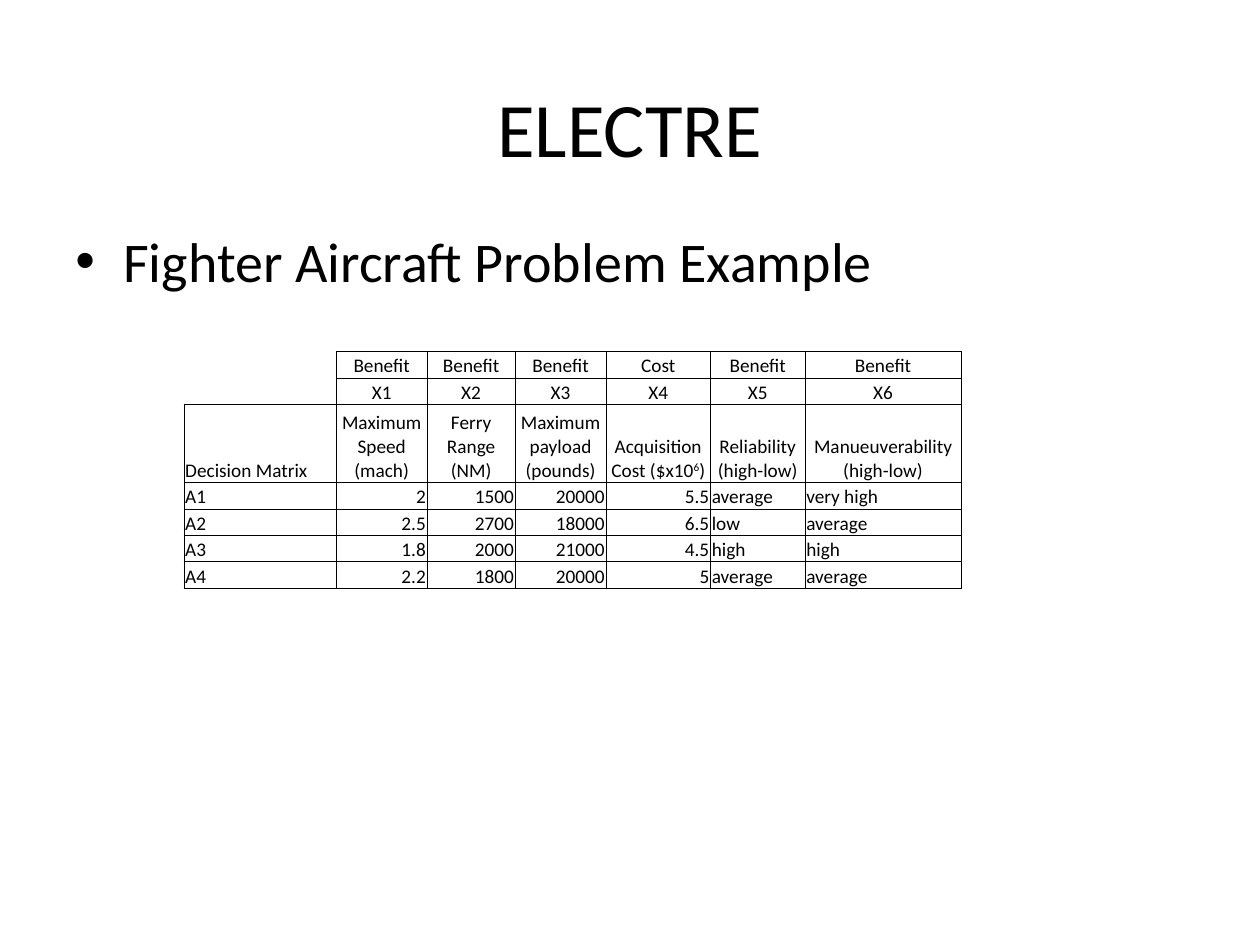
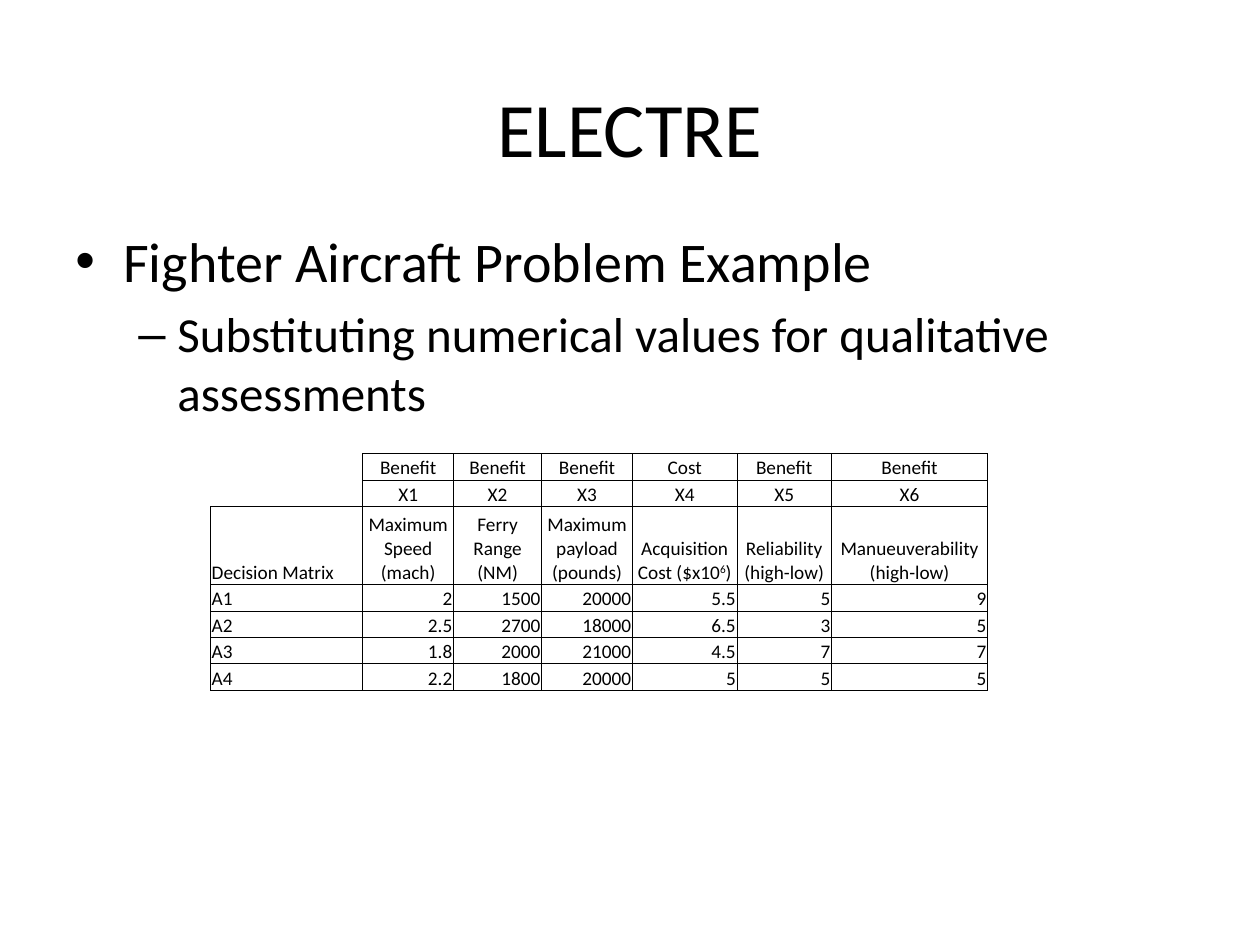
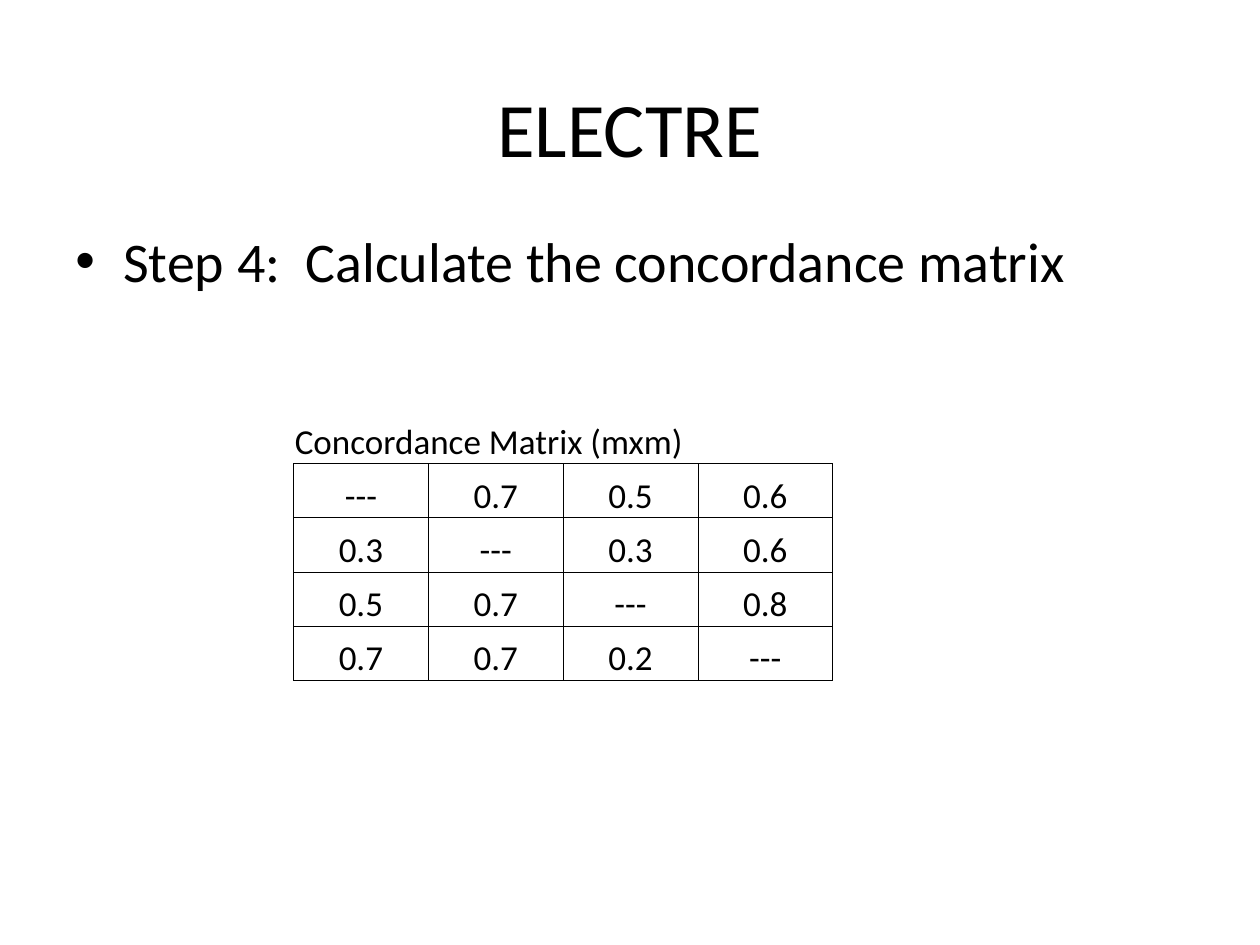
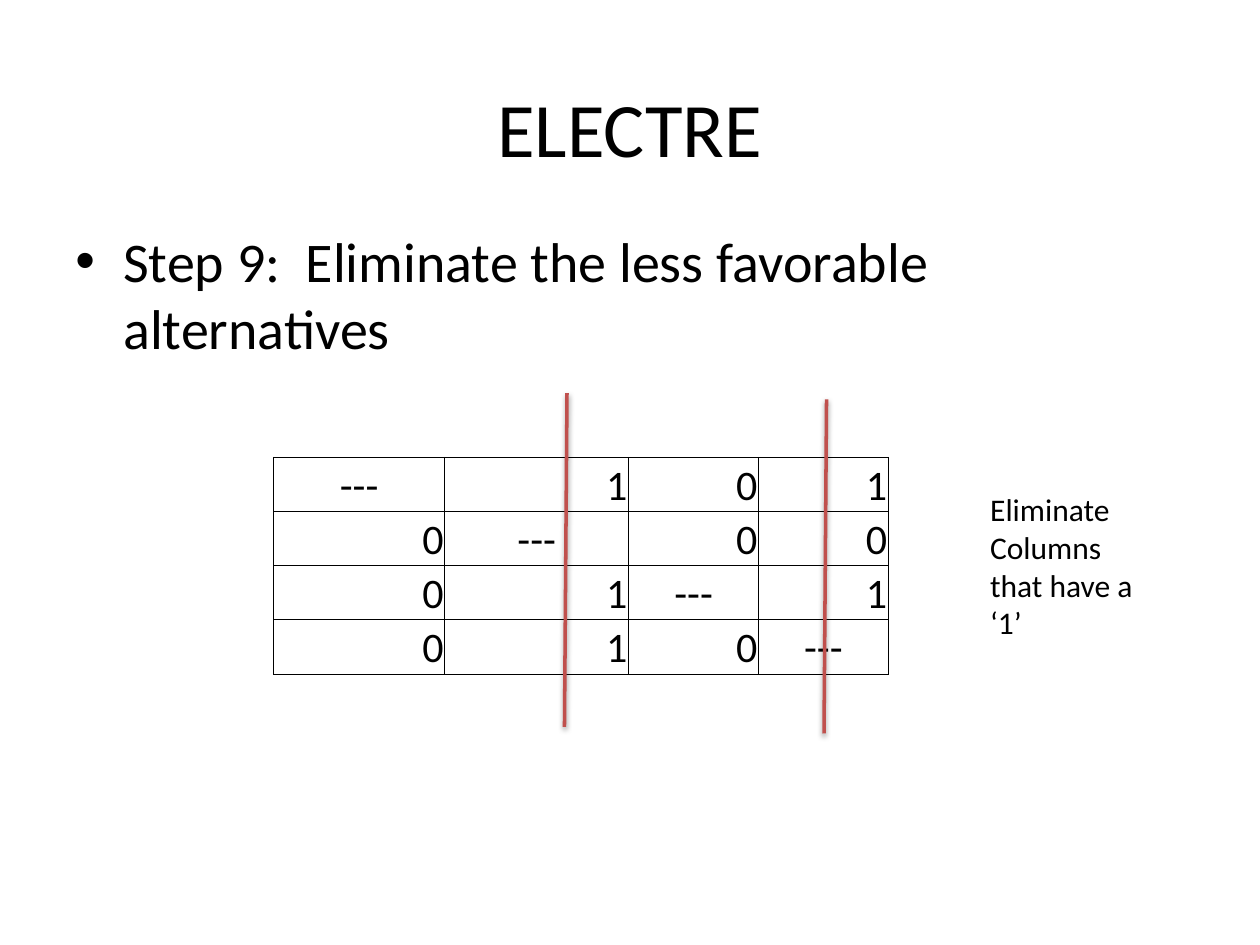
import pptx
import pptx.dml.color
import pptx.enum.shapes
import pptx.enum.text
import pptx.oxml
import pptx.oxml.ns
import pptx.util
from lxml import etree
from pptx.util import Inches, Pt

FONT = "Calibri"
BLACK = "000000"
RED = "C0504D"
ALIGN = {
    "l": pptx.enum.text.PP_ALIGN.LEFT,
    "c": pptx.enum.text.PP_ALIGN.CENTER,
    "r": pptx.enum.text.PP_ALIGN.RIGHT,
}
# Bullet, size, left indent and hanging indent of each outline level
LEVELS = [("•", 32, 0.38, 0.38), ("–", 28, 0.81, 0.31)]

CRITERIA = [
    ["", "Benefit", "Benefit", "Benefit", "Cost", "Benefit", "Benefit"],
    ["", "X1", "X2", "X3", "X4", "X5", "X6"],
    ["Decision Matrix", "Maximum Speed (mach)", "Ferry Range (NM)",
     "Maximum payload (pounds)", "Acquisition Cost ($x10^6^)",
     "Reliability (high-low)", "Manueuverability (high-low)"],
]
AIRCRAFT = [
    ["A1", "2", "1500", "20000", "5.5"],
    ["A2", "2.5", "2700", "18000", "6.5"],
    ["A3", "1.8", "2000", "21000", "4.5"],
    ["A4", "2.2", "1800", "20000", "5"],
]
QUALITATIVE = [["average", "very high"], ["low", "average"],
               ["high", "high"], ["average", "average"]]
SCORES = [["5", "9"], ["3", "5"], ["7", "7"], ["5", "5"]]
DECISION_COLUMNS = [1.21, 0.72, 0.7, 0.72, 0.83, 0.75, 1.24]
DECISION_ROWS = [0.21, 0.21, 0.62] + [0.21] * 4
CORNER = {(0, 0), (1, 0)}

# Each slide: outline, then its table. "open" lists the cells without a frame.
SLIDES = [
    {"outline": ["Fighter Aircraft Problem Example"],
     "at": (1.46, 2.79), "columns": DECISION_COLUMNS, "rows": DECISION_ROWS,
     "size": 11, "open": CORNER,
     "cells": CRITERIA + [a + q for a, q in zip(AIRCRAFT, QUALITATIVE)],
     "aligns": ["lcccccc"] * 3 + ["lrrrrll"] * 4},
    {"outline": ["Fighter Aircraft Problem Example",
                 "Substituting numerical values for qualitative assessments"],
     "at": (1.67, 3.6), "columns": DECISION_COLUMNS, "rows": DECISION_ROWS,
     "size": 11, "open": CORNER,
     "cells": CRITERIA + [a + s for a, s in zip(AIRCRAFT, SCORES)],
     "aligns": ["lcccccc"] * 3 + ["lrrrrrr"] * 4},
    {"outline": ["Step 4:  Calculate the concordance matrix"],
     "at": (2.33, 2.6), "columns": [1.07] * 4, "rows": [1.08] + [0.43] * 4,
     "size": 20, "open": {(0, column) for column in range(4)},
     "cells": [["Concordance Matrix (mxm)", "", "", ""],
               ["---", "0.7", "0.5", "0.6"],
               ["0.3", "---", "0.3", "0.6"],
               ["0.5", "0.7", "---", "0.8"],
               ["0.7", "0.7", "0.2", "---"]],
     "aligns": ["llll"] + ["cccc"] * 4},
    {"outline": ["Step 9:  Eliminate the less favorable alternatives"],
     "at": (2.17, 3.63), "columns": [1.36, 1.46, 1.03, 1.03], "rows": [0.43] * 4,
     "size": 24, "open": set(),
     "cells": [["---", "1", "0", "1"],
               ["0", "---", "0", "0"],
               ["0", "1", "---", "1"],
               ["0", "1", "0", "---"]],
     "aligns": ["crrr", "rcrr", "rrcr", "rrrc"]},
]


def color(hex_code):
    return pptx.dml.color.RGBColor.from_string(hex_code)


def add_xml(parent, text):
    """Append an element written in the drawing namespace (prefix a)."""
    head, mark, rest = text.partition(">")
    slash = "/" if head.endswith("/") else ""
    head = head.rstrip("/") + " " + pptx.oxml.ns.nsdecls("a") + slash
    parent.append(pptx.oxml.parse_xml(head + mark + rest))


deck = pptx.Presentation()
deck.slide_width, deck.slide_height = Inches(10), Inches(7.5)

for content in SLIDES:
    page = deck.slides.add_slide(deck.slide_layouts[5])

    title = page.shapes.title
    title.left, title.top = Inches(0.5), Inches(0.38)
    title.width, title.height = Inches(9), Inches(1.25)
    title.text_frame.text = "ELECTRE"
    title.text_frame.vertical_anchor = pptx.enum.text.MSO_ANCHOR.MIDDLE
    para = title.text_frame.paragraphs[0]
    para.alignment = ALIGN["c"]
    para.font.name, para.font.size = FONT, Pt(44)
    para.font.color.rgb = color(BLACK)

    box = page.shapes.add_textbox(Inches(0.5), Inches(1.75), Inches(9), Inches(4.95))
    box.text_frame.word_wrap = True
    box.text_frame.text = "\n".join(content["outline"])
    for level, para in enumerate(box.text_frame.paragraphs):
        bullet, size, indent, hanging = LEVELS[level]
        para.level = level
        if level:
            para.space_before = Pt(size * 0.2)
        properties = para._p.get_or_add_pPr()
        properties.set("marL", str(Inches(indent)))
        properties.set("indent", str(-Inches(hanging)))
        add_xml(properties, '<a:buFont typeface="Arial"/>')
        add_xml(properties, f'<a:buChar char="{bullet}"/>')
        para.font.name, para.font.size = FONT, Pt(size)
        para.font.color.rgb = color(BLACK)

    columns, rows, unframed = content["columns"], content["rows"], content["open"]
    left, top = content["at"]
    table = page.shapes.add_table(
        len(rows), len(columns), Inches(left), Inches(top),
        Inches(sum(columns)), Inches(sum(rows))).table
    table.first_row = table.horz_banding = False
    for column, width in zip(table.columns, columns):
        column.width = Inches(width)
    for row, height in zip(table.rows, rows):
        row.height = Inches(height)
    framed = {(r, c) for r in range(len(rows)) for c in range(len(columns))} - unframed

    for r, texts in enumerate(content["cells"]):
        for c, text in enumerate(texts):
            cell = table.cell(r, c)
            cell.margin_left = cell.margin_right = cell.margin_top = Inches(0.01)
            cell.margin_bottom = 0
            cell.vertical_anchor = pptx.enum.text.MSO_ANCHOR.BOTTOM

            para = cell.text_frame.paragraphs[0]
            para.alignment = ALIGN[content["aligns"][r][c]]
            para.font.name, para.font.size = FONT, Pt(content["size"])
            para.font.color.rgb = color(BLACK)
            if text:
                # Carets enclose a superscript
                for index, piece in enumerate(text.split("^")):
                    span = para.add_run()
                    span.text = piece
                    if index % 2:
                        span._r.get_or_add_rPr().set("baseline", "30000")
            else:
                add_xml(para._p, f'<a:endParaRPr sz="{content["size"] * 100}"/>')

            # An edge is drawn where the cell on either side of it is framed
            neighbours = {"L": (r, c - 1), "R": (r, c + 1), "T": (r - 1, c), "B": (r + 1, c)}
            for side, neighbour in neighbours.items():
                if {(r, c), neighbour} & framed:
                    paint = f'<a:solidFill><a:srgbClr val="{BLACK}"/></a:solidFill>'
                else:
                    paint = "<a:noFill/>"
                add_xml(cell._tc.get_or_add_tcPr(),
                        f'<a:ln{side} w="{Pt(0.5)}">{paint}</a:ln{side}>')
            cell.fill.background()

    if "Concordance Matrix (mxm)" in content["cells"][0]:
        table.cell(0, 0).merge(table.cell(0, 2))

# Strike out the dominated columns on the last slide
for x, y in [(4.5, 3.12), (6.56, 3.17)]:
    strike = page.shapes.add_connector(
        pptx.enum.shapes.MSO_CONNECTOR.STRAIGHT,
        Inches(x), Inches(y), Inches(x - 0.02), Inches(y + 2.65))
    strike.line.color.rgb = color(RED)
    strike.line.width = Pt(2)
    add_xml(strike._element.spPr,
            f'<a:effectLst><a:outerShdw blurRad="{Pt(3.1)}" dist="{Pt(1.6)}" '
            f'dir="5400000" rotWithShape="0"><a:srgbClr val="{BLACK}">'
            '<a:alpha val="38000"/></a:srgbClr></a:outerShdw></a:effectLst>')

note = page.shapes.add_textbox(Inches(7.76), Inches(3.84), Inches(1.45), Inches(1.31))
note.text_frame.word_wrap = True
note.text_frame.auto_size = pptx.enum.text.MSO_AUTO_SIZE.SHAPE_TO_FIT_TEXT
note.text_frame.text = "Eliminate Columns that have a ‘1’"
para = note.text_frame.paragraphs[0]
para.font.name, para.font.size = FONT, Pt(18)
para.font.color.rgb = color(BLACK)

deck.save("out.pptx")
